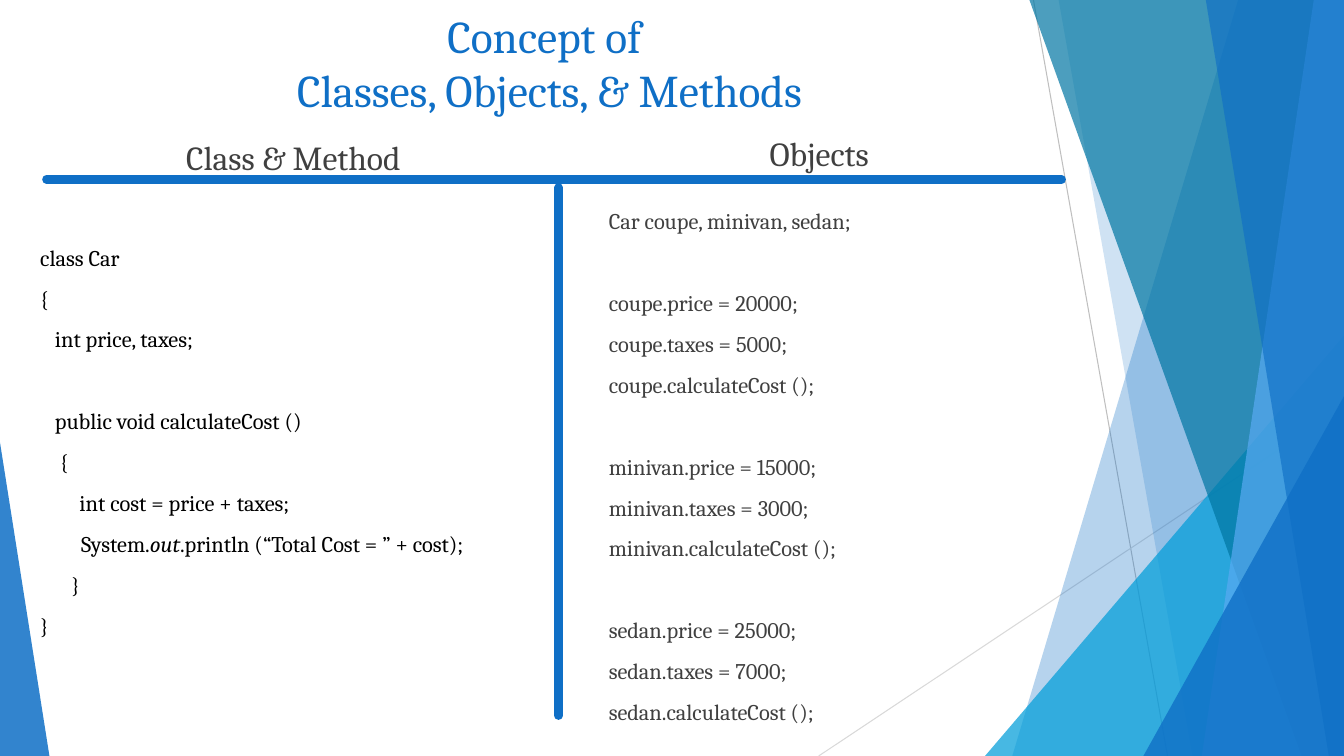
"""Build the slide on classes, objects and methods."""
from lxml.etree import SubElement
from pptx import Presentation
from pptx.dml.color import RGBColor
from pptx.enum.shapes import MSO_CONNECTOR, MSO_SHAPE
from pptx.enum.text import MSO_ANCHOR, PP_ALIGN
from pptx.oxml.ns import qn
from pptx.util import Inches, Pt

WIDTH, HEIGHT = 13.33, 7.5
FONT = "Cambria"
BLUE = RGBColor(0x0F, 0x6F, 0xC6)
LIGHT_BLUE = RGBColor(0x59, 0xAA, 0xF2)
CYAN = RGBColor(0x00, 0x9D, 0xD9)
TEAL = RGBColor(0x00, 0x76, 0xA3)
BLACK = RGBColor(0x00, 0x00, 0x00)
DARK_GREY = RGBColor(0x40, 0x40, 0x40)
MID_GREY = RGBColor(0xBF, 0xBF, 0xBF)
PALE_GREY = RGBColor(0xD9, 0xD9, 0xD9)

LINE_GAP = 10
BLOCK_GAP = 39.2

CLASS_CODE = [
    ["class Car", "{", "   int price, taxes;"],
    [
        "   public void calculateCost ()",
        "    {",
        "        int cost = price + taxes;",
        "  System.*out*.println (“Total Cost = ” + cost);",
        "}",
        "}",
    ],
]
INDENTED_LINES = (6, 7)
CAR_PRICES = [("coupe", 20000, 5000), ("minivan", 15000, 3000), ("sedan", 25000, 7000)]


def paint(shape, color, opacity):
    """Fill a shape with a translucent colour and no outline."""
    shape.shadow.inherit = False
    shape.line.fill.background()
    shape.fill.solid()
    shape.fill.fore_color.rgb = color
    color_element = shape.fill._xPr.find(qn("a:solidFill"))[0]
    SubElement(color_element, qn("a:alpha"), val=str(opacity * 1000))


def add_facet(slide, top_left, bottom_left, color, opacity):
    """Draw a full-height facet that reaches the right edge."""
    corners = [(WIDTH, 0), (WIDTH, HEIGHT), (bottom_left, HEIGHT)]
    builder = slide.shapes.build_freeform(Inches(top_left), 0)
    builder.add_line_segments([(Inches(x), Inches(y)) for x, y in corners])
    paint(builder.convert_to_shape(), color, opacity)


def add_triangle(slide, left, top, width, apex, color, opacity):
    """Draw a triangle that stands on the bottom edge."""
    triangle = slide.shapes.add_shape(
        MSO_SHAPE.ISOSCELES_TRIANGLE,
        Inches(left), Inches(top), Inches(width), Inches(HEIGHT - top),
    )
    triangle.adjustments[0] = apex
    paint(triangle, color, opacity)


def add_line(slide, start, end, color, weight, cap="flat"):
    """Draw a straight line without a shadow."""
    ends = [Inches(value) for value in (*start, *end)]
    line = slide.shapes.add_connector(MSO_CONNECTOR.STRAIGHT, *ends)
    line.line.color.rgb = color
    line.line.width = Pt(weight)
    line.line._get_or_add_ln().set("cap", cap)
    SubElement(line._element.spPr, qn("a:effectLst"))


def add_text_frame(slide, left, top, width, height, anchor=MSO_ANCHOR.TOP):
    """Add a wrapping text box and return its text frame."""
    box = slide.shapes.add_textbox(Inches(left), Inches(top), Inches(width), Inches(height))
    frame = box.text_frame
    frame.word_wrap = True
    frame.vertical_anchor = anchor
    return frame


def style(paragraph, size, color):
    """Set the font of a paragraph."""
    paragraph.font.name = FONT
    paragraph.font.size = Pt(size)
    paragraph.font.color.rgb = color


def add_heading(slide, text, bounds, size, color, anchor):
    """Add a centred heading."""
    heading = add_text_frame(slide, *bounds, anchor).paragraphs[0]
    heading.text = text
    heading.alignment = PP_ALIGN.CENTER
    style(heading, size, color)


def add_code(slide, blocks, bounds, color, indented=()):
    """Add blocks of code lines, with words between asterisks in italics."""
    frame = add_text_frame(slide, *bounds)
    lines = [(row, line) for block in blocks for row, line in enumerate(block)]
    for index, (row, line) in enumerate(lines):
        paragraph = frame.add_paragraph() if index else frame.paragraphs[0]
        if index:
            paragraph.space_before = Pt(LINE_GAP if row else BLOCK_GAP)
        if index in indented:
            properties = paragraph._p.get_or_add_pPr()
            properties.set("marL", str(Inches(0.13)))
            properties.set("indent", str(Inches(0.18)))
        for part, text in enumerate(line.split("*")):
            run = paragraph.add_run()
            run.text = text
            if part % 2:
                run.font.italic = True
        style(paragraph, 16, color)


def add_backdrop(slide):
    """Draw the faceted decoration at both sides."""
    add_line(slide, (10.25, 0), (11.58, HEIGHT), MID_GREY, 0.75)
    add_line(slide, (WIDTH, 4.03), (8.12, HEIGHT), PALE_GREY, 0.75)
    add_facet(slide, 12.28, 10.04, BLUE, 30)
    add_facet(slide, 10.5, 11.83, BLUE, 20)
    add_triangle(slide, 9.77, 3.33, 3.56, 1, CYAN, 72)
    add_facet(slide, 10.21, 12.91, TEAL, 70)
    add_facet(slide, 13.03, 11.92, LIGHT_BLUE, 70)
    add_facet(slide, 11.96, 13.18, BLUE, 65)
    add_triangle(slide, 11.34, 3.93, 1.99, 1, BLUE, 80)
    add_triangle(slide, 0, 4.39, 0.49, 0, BLUE, 85)


def main():
    """Build and save the slide."""
    presentation = Presentation()
    presentation.slide_width = Inches(WIDTH)
    presentation.slide_height = Inches(HEIGHT)
    slide = presentation.slides.add_slide(presentation.slide_layouts[6])

    add_backdrop(slide)
    add_heading(slide, "Concept of \vClasses, Objects, & Methods",
                (0.75, 0.03, 9.4, 1.11), 32.4, BLUE, MSO_ANCHOR.TOP)
    add_heading(slide, "Class & Method", (0.28, 1.18, 5.26, 0.63), 24, DARK_GREY, MSO_ANCHOR.BOTTOM)
    add_code(slide, CLASS_CODE, (0.3, 2.37, 5.29, 4.6), BLACK, INDENTED_LINES)

    add_heading(slide, "Objects", (5.66, 1.14, 4.93, 0.63), 24, DARK_GREY, MSO_ANCHOR.BOTTOM)
    object_code = [["Car coupe, minivan, sedan;"]] + [
        [f"{car}.price = {price};", f"{car}.taxes = {taxes};", f"{car}.calculateCost ();"]
        for car, price, taxes in CAR_PRICES
    ]
    add_code(slide, object_code, (5.94, 2.01, 5.03, 5.1), DARK_GREY)

    add_line(slide, (5.54, 1.86), (5.54, 7.1), BLUE, 6, "rnd")
    add_line(slide, (0.46, 1.78), (10.53, 1.78), BLUE, 6, "rnd")
    presentation.save("out.pptx")


if __name__ == "__main__":
    main()
